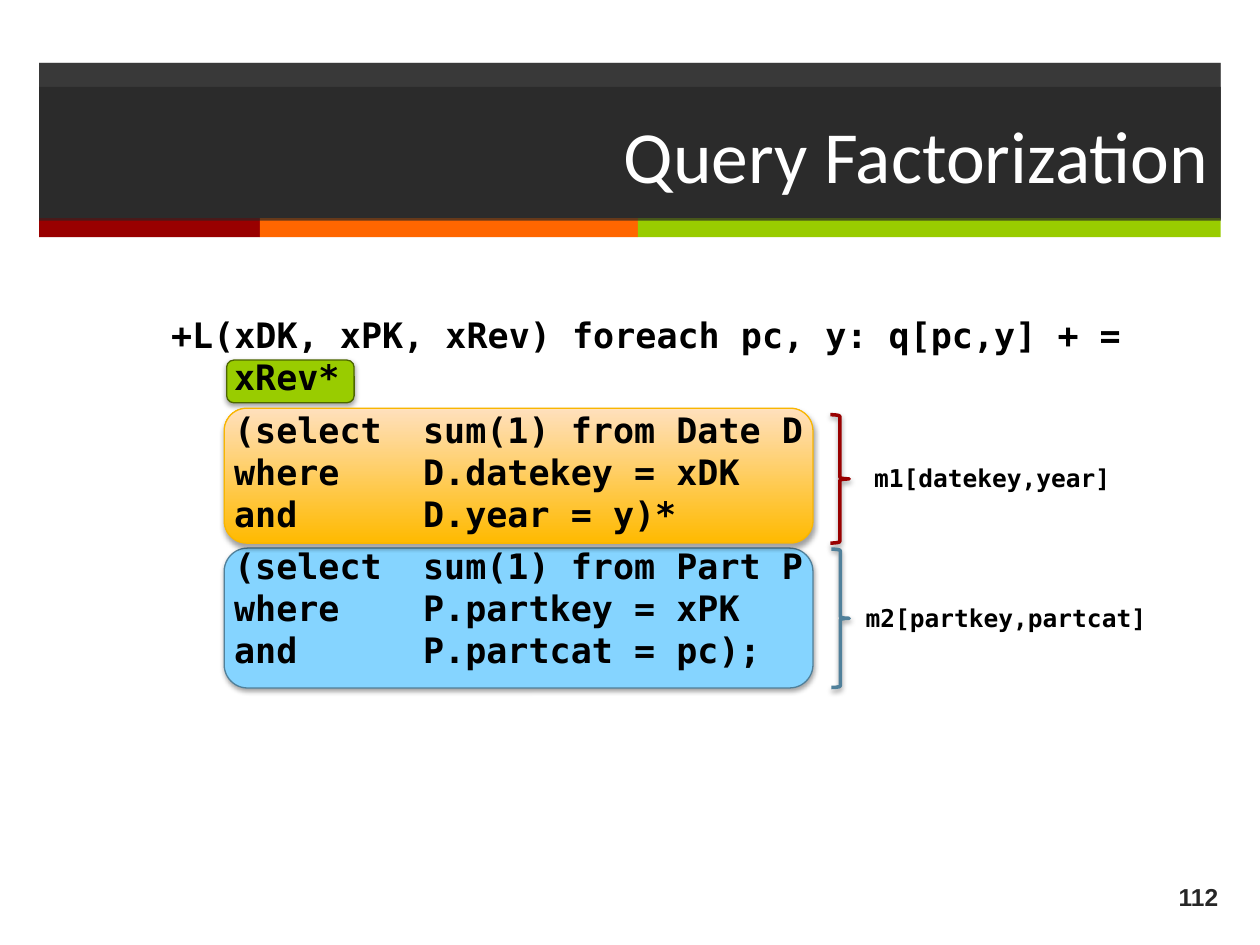
import dataclasses
import typing

import pptx
import pptx.dml.color
import pptx.enum.shapes
import pptx.enum.text
import pptx.oxml
import pptx.oxml.ns
import pptx.util

Cm, Pt = pptx.util.Cm, pptx.util.Pt
Kind = pptx.enum.shapes.MSO_SHAPE
Align = pptx.enum.text.PP_ALIGN
Fit = pptx.enum.text.MSO_AUTO_SIZE
MIDDLE = pptx.enum.text.MSO_ANCHOR.MIDDLE
MONO = "DejaVu Sans Mono"
NS = pptx.oxml.ns.nsdecls("a")

HUES = {
    "dark": "262626", "white": "FFFFFF", "black": "000000",
    "red": "990000", "orange": "FF6600", "green": "99CC00", "moss": "4D6600",
    "sky": "85D4FF", "steel": "50809A",
    "amber": "FFBA00", "peach": "FFE0BD", "gold": "F9B600",
}


class Box(typing.NamedTuple):
    """Left, top, width and height in centimetres."""
    left: float
    top: float
    width: float
    height: float


@dataclasses.dataclass
class Part:
    """A shaded block or brace; two fill hues make a gradient."""
    kind: typing.Any
    box: Box
    edge: str
    weight: float
    fill: tuple = ()


@dataclasses.dataclass
class Line:
    """A line of code with its indent, tab stops and space after."""
    text: str
    tabs: tuple = (2.69, 3.63)
    indent: float = 1.27
    after: float = 0


def rgb(hue: str) -> pptx.dml.color.RGBColor:
    return pptx.dml.color.RGBColor.from_string(HUES[hue])


def put(item: typing.Any, vals: dict) -> None:
    for name, val in vals.items():
        setattr(item, name, val)


def span(box: Box) -> list:
    return [Cm(val) for val in box]


def paint(shape: typing.Any, hue: str, alpha: int = 100) -> None:
    shape.fill.solid()
    shape.fill.fore_color.rgb = rgb(hue)
    if alpha < 100:
        tone = shape.fill._xPr.find(".//" + pptx.oxml.ns.qn("a:srgbClr"))
        tone.append(pptx.oxml.parse_xml(f'<a:alpha {NS} val="{alpha * 1000}"/>'))


def add_bar(shapes: typing.Any, box: Box, hue: str, alpha: int = 100) -> None:
    bar = shapes.add_shape(Kind.RECTANGLE, *span(box))
    bar.shadow.inherit = False
    bar.line.fill.background()
    paint(bar, hue, alpha)


def add_part(shapes: typing.Any, part: Part) -> None:
    shape = shapes.add_shape(part.kind, *span(part.box))
    if len(part.fill) == 2:
        shape.fill.gradient()
        shape.fill.gradient_angle = 90
        for stop, hue in zip(shape.fill.gradient_stops, part.fill):
            stop.color.rgb = rgb(hue)
    elif part.fill:
        paint(shape, part.fill[0])
    else:
        shape.fill.background()
    shape.line.color.rgb = rgb(part.edge)
    shape.line.width = Pt(part.weight)
    # Soft shadow straight below
    shape.shadow.inherit = False
    glow = shape._element.spPr.find(pptx.oxml.ns.qn("a:effectLst"))
    glow.append(pptx.oxml.parse_xml(
        f'<a:outerShdw {NS} blurRad="{Pt(3.1)}" dist="{Pt(1.7)}" dir="5400000"'
        ' rotWithShape="0"><a:srgbClr val="000000"><a:alpha val="36000"/>'
        '</a:srgbClr></a:outerShdw>'))


def add_run(para: typing.Any, text: str, hue: str, vals: dict) -> None:
    run = para.add_run()
    run.text = text
    put(run.font, vals)
    run.font.color.rgb = rgb(hue)


def add_text(shapes: typing.Any, box: Box, frame: dict) -> typing.Any:
    body = shapes.add_textbox(*span(box)).text_frame
    put(body, frame)
    return body


def add_code(shapes: typing.Any, box: Box, lines: list) -> None:
    body = add_text(shapes, box, {"word_wrap": True,
                                  "auto_size": Fit.SHAPE_TO_FIT_TEXT})
    for num, line in enumerate(lines):
        para = body.add_paragraph() if num else body.paragraphs[0]
        props = para._p.get_or_add_pPr()
        props.set("marL", str(Cm(line.indent)))
        props.set("indent", "0")
        stops = "".join(f'<a:tab pos="{Cm(tab)}" algn="l"/>' for tab in line.tabs)
        props.append(pptx.oxml.parse_xml(f"<a:tabLst {NS}>{stops}</a:tabLst>"))
        para.space_after = Pt(line.after)
        add_run(para, line.text, "black",
                {"name": MONO, "size": Pt(20), "bold": True})


BAND = Box(0.79, 1.27, 23.82, 3.15)
STRIPS = [("red", 4.45), ("orange", 7.62), ("green", 11.75)]
PARTS = [
    Part(Kind.ROUNDED_RECTANGLE, Box(4.57, 7.26, 2.57, 0.86), "moss", 0.75, ("green",)),
    Part(Kind.ROUNDED_RECTANGLE, Box(4.52, 11.05, 11.87, 2.82), "steel", 0.75, ("sky",)),
    Part(Kind.ROUNDED_RECTANGLE, Box(4.52, 8.23, 11.87, 2.72), "gold", 0.75,
         ("amber", "peach")),
]
BRACES = [
    Part(Kind.RIGHT_BRACE, Box(16.74, 8.36, 0.38, 2.59), "red", 2),
    Part(Kind.RIGHT_BRACE, Box(16.76, 11.07, 0.36, 2.79), "steel", 2),
]
CODE = [
    Line("+L(xDK, xPK, xRev) foreach pc, y: q[pc,y] + =", (2.69,), 0),
    Line("\txRev*", (1.27,), 0, 6),
    Line("(select\tsum(1) from Date D"),
    Line("where\t\tD.datekey = xDK"),
    Line("and\t\tD.year = y)*", after=6),
    Line("(select\tsum(1) from Part P"),
    Line("where\t\tP.partkey = xPK"),
    Line("and\t\tP.partcat = pc);"),
]
LABELS = [
    ("m1[datekey,year]", Box(17.37, 9.2, 5.33, 0.86)),
    ("m2[partkey,partcat]", Box(17.2, 12.04, 6.22, 0.86)),
]


def main() -> None:
    deck = pptx.Presentation()
    put(deck, {"slide_width": Cm(25.4), "slide_height": Cm(19.05)})
    slide = deck.slides.add_slide(deck.slide_layouts[5])
    shapes = slide.shapes

    # Header band, page number and colour strips
    add_bar(shapes, BAND, "dark", 70)
    page = add_text(shapes, Box(23.06, 17.58, 1.75, 0.99),
                    {"word_wrap": True, "vertical_anchor": MIDDLE}).paragraphs[0]
    page.alignment = Align.RIGHT
    add_run(page, "112", "dark", {"name": "Arial", "size": Pt(14), "bold": True})
    add_bar(shapes, BAND, "dark", 70)
    group = shapes.add_group_shape()
    left = BAND.left
    for hue, width in STRIPS:
        add_bar(group.shapes, Box(left, 4.4, width, 0.38), hue)
        left += width

    # Title, raised above the band
    title = shapes.title
    shapes._spTree.append(title._element)
    put(title, dict(zip(("left", "top", "width", "height"),
                        span(Box(0.79, 1.75, 23.82, 2.7)))))
    paint(title, "dark", 70)
    put(title.text_frame, {"vertical_anchor": MIDDLE, "auto_size": Fit.NONE,
                           "word_wrap": True})
    head = title.text_frame.paragraphs[0]
    head.alignment = Align.RIGHT
    add_run(head, "Query Factorization", "white", {"name": "Calibri", "size": Pt(42)})

    # Code over its shaded blocks
    for part in PARTS:
        add_part(shapes, part)
    add_code(shapes, Box(3.2, 6.2, 20.32, 7.52), CODE)

    # Map names and braces
    for text, box in LABELS:
        body = add_text(shapes, box, {"word_wrap": False,
                                      "auto_size": Fit.SHAPE_TO_FIT_TEXT})
        add_run(body.paragraphs[0], text, "black",
                {"name": MONO, "size": Pt(14), "bold": True})
    for brace in BRACES:
        add_part(shapes, brace)

    deck.save("out.pptx")


if __name__ == "__main__":
    main()
